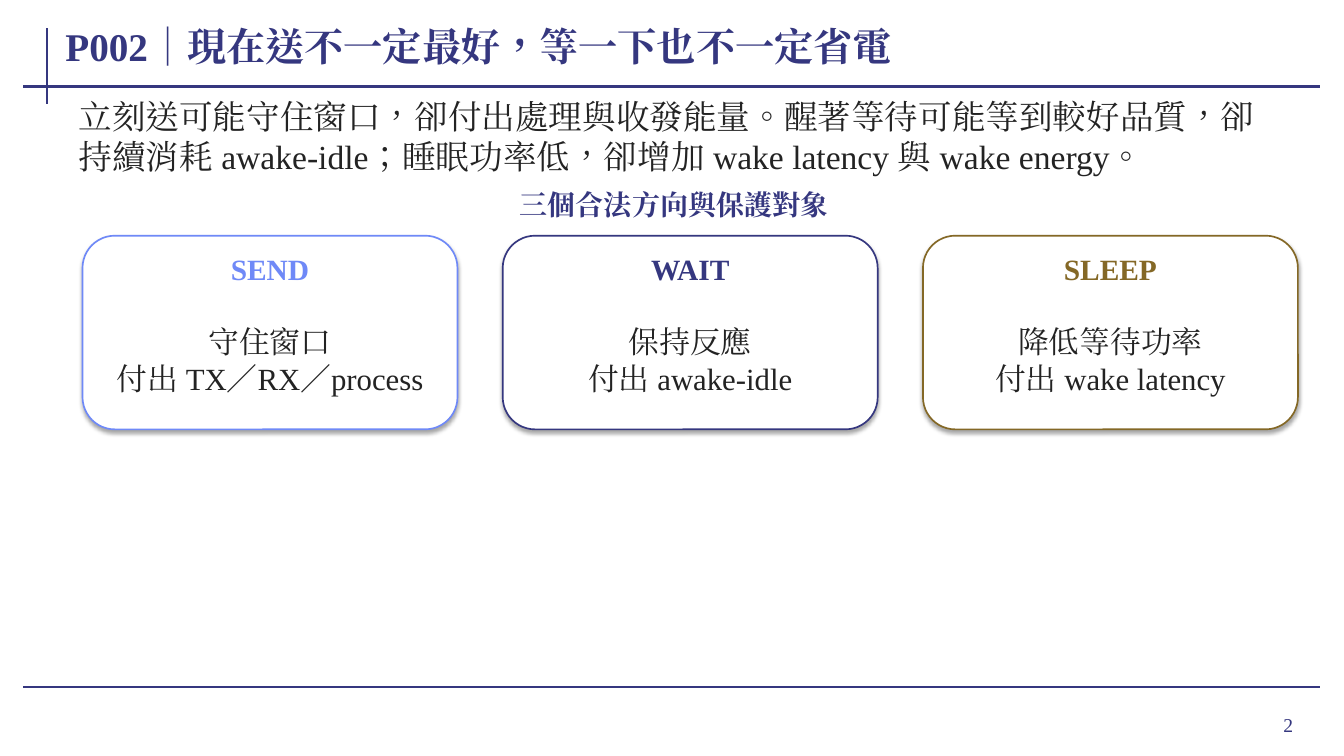
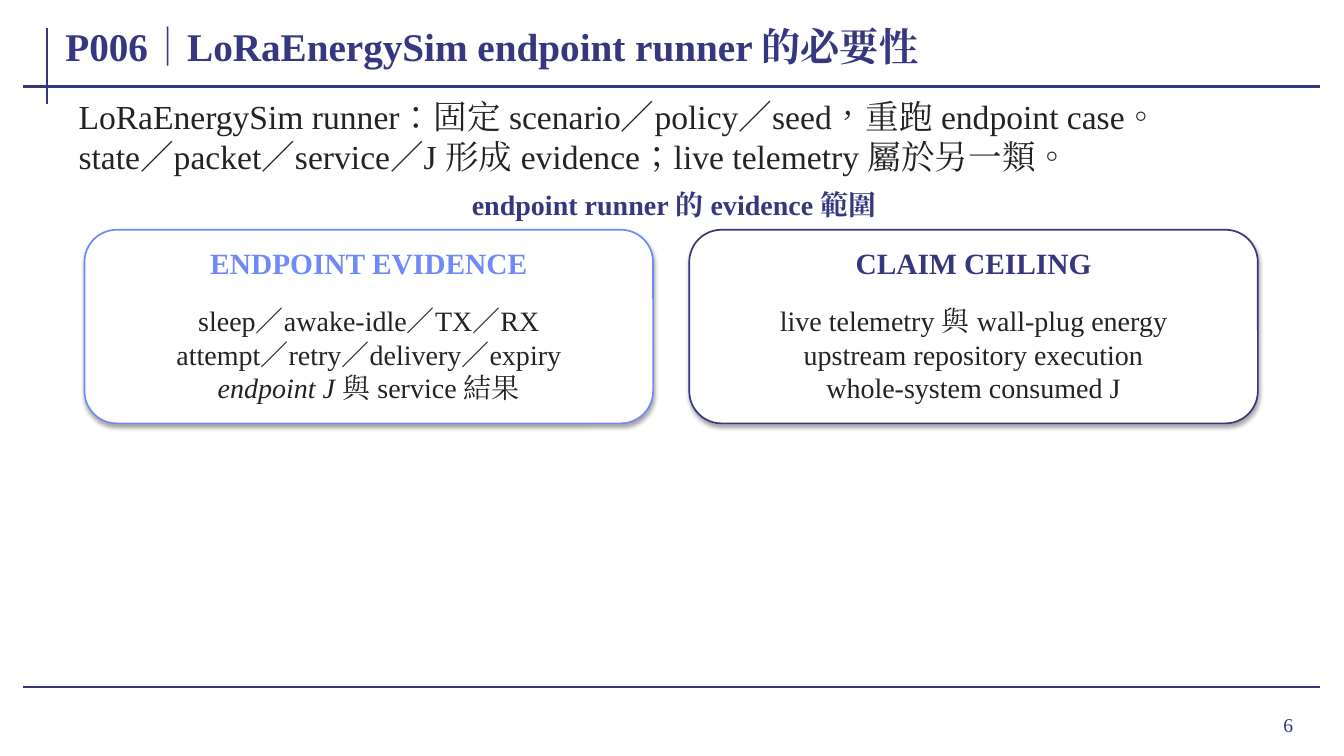
from dataclasses import dataclass

from lxml import etree
from pptx import Presentation
from pptx.dml.color import RGBColor
from pptx.enum import lang, shapes, text
from pptx.oxml import ns
from pptx.util import Cm, Pt


@dataclass(frozen=True)
class Theme:
    font: str = "Times New Roman"
    navy: str = "35377F"
    blue: str = "6F89F7"
    gold: str = "846826"
    ink: str = "232323"
    paper: str = "FFFFFF"
    shade: str = "000000"
    title: int = 28
    intro: int = 24
    caption: int = 20
    heading: int = 21
    number: int = 14
    rule: float = 1.5
    outline: float = 1.2


@dataclass(frozen=True)
class Box:
    left: float
    top: float
    width: float
    height: float

    def lengths(self):
        return [Cm(v) for v in (self.left, self.top, self.width, self.height)]

    def inner(self, dx, dy, height):
        return Box(self.left + dx, self.top + dy, self.width - 2 * dx, height)

    def columns(self, count, gap):
        width = (self.width - gap * (count - 1)) / count
        return [Box(self.left + i * (width + gap), self.top, width, self.height)
                for i in range(count)]


@dataclass(frozen=True)
class Card:
    heading: str
    color: str
    lines: list
    italic: str = ""


THEME = Theme()
LEFT, CENTER, RIGHT = text.PP_ALIGN.LEFT, text.PP_ALIGN.CENTER, text.PP_ALIGN.RIGHT
MIDDLE, TOP = text.MSO_ANCHOR.MIDDLE, text.MSO_ANCHOR.TOP


def sub(parent, tag, **attributes):
    return etree.SubElement(parent, ns.qn(tag), attributes)


def style_run(run, size, color, bold, italic):
    font = run.font
    font.name, font.size, font.bold, font.italic = THEME.font, Pt(size), bold, italic
    font.color.rgb = RGBColor.from_string(color)
    font.language_id = lang.MSO_LANGUAGE_ID.TRADITIONAL_CHINESE
    sub(run._r.get_or_add_rPr(), "a:ea", typeface=THEME.font)


def write(frame, lines, size, color, bold=False, align=LEFT, anchor=MIDDLE,
          inset=(0.08, 0.03), italic=""):
    frame.word_wrap = True
    frame.auto_size = text.MSO_AUTO_SIZE.NONE
    frame.vertical_anchor = anchor
    frame.margin_left = frame.margin_right = Cm(inset[0])
    frame.margin_top = frame.margin_bottom = Cm(inset[1])
    frame.text = "\n".join(lines)
    for paragraph in frame.paragraphs:
        paragraph.alignment = align
        slanted = bool(italic) and paragraph.text.startswith(italic)
        if slanted:
            rest = paragraph.text[len(italic):]
            paragraph.text = italic
            paragraph.add_run().text = rest
        for index, run in enumerate(paragraph.runs):
            style_run(run, size, color, bold, slanted and index == 0)


def add_text(slide, box, lines, size, color, **options):
    write(slide.shapes.add_textbox(*box.lengths()).text_frame, lines, size, color, **options)


def add_rule(slide, x1, y1, x2, y2):
    rule = slide.shapes.add_connector(
        shapes.MSO_CONNECTOR.STRAIGHT, Cm(x1), Cm(y1), Cm(x2), Cm(y2))
    rule.line.color.rgb = RGBColor.from_string(THEME.navy)
    rule.line.width = Pt(THEME.rule)
    sub(rule._element.spPr, "a:effectLst")


def add_frame(slide, number):
    add_rule(slide, 1.19, 0.71, 1.19, 2.62)
    for y in (2.18, 17.32):
        add_rule(slide, 0.58, y, 33.27, y)
    add_text(slide, Box(30.38, 17.6, 2.46, 1.32), [number], THEME.number, THEME.navy,
             align=RIGHT, inset=(0.25, 0.13))


def add_title(slide, box, title):
    holder = slide.shapes.title
    holder.left, holder.top, holder.width, holder.height = box.lengths()
    write(holder.text_frame, [title], THEME.title, THEME.navy, bold=True)


def add_shadow(shape):
    shape.shadow.inherit = False
    effects = shape._element.spPr.find(ns.qn("a:effectLst"))
    shadow = sub(effects, "a:outerShdw", blurRad=str(Pt(3.1)), dist=str(Pt(1.8)),
                 dir="5400000", algn="ctr", rotWithShape="0")
    shade = sub(shadow, "a:srgbClr", val=THEME.shade)
    sub(shade, "a:alpha", val="35000")


def add_card(slide, box, card, size):
    panel = slide.shapes.add_shape(shapes.MSO_SHAPE.ROUNDED_RECTANGLE, *box.lengths())
    panel.fill.solid()
    panel.fill.fore_color.rgb = RGBColor.from_string(THEME.paper)
    panel.line.color.rgb = RGBColor.from_string(card.color)
    panel.line.width = Pt(THEME.outline)
    add_shadow(panel)
    add_text(slide, box.inner(0.36, 0.41, 0.86), [card.heading], THEME.heading, card.color,
             bold=True, align=CENTER, inset=(0.03, 0))
    add_text(slide, box.inner(0.46, 1.68, 2.9), card.lines, size, THEME.ink,
             align=CENTER, italic=card.italic)


def add_card_slide(deck, number, title, intro, caption, cards, area, gap, size):
    slide = deck.slides.add_slide(deck.slide_layouts[5])
    add_frame(slide, number)
    add_title(slide, Box(1.57, 0.38, 31.72, 1.57), title)
    add_text(slide, Box(1.83, 2.36, 30.23, 2.13), intro, THEME.intro, THEME.ink,
             anchor=TOP, inset=(0.15, 0.05))
    add_text(slide, Box(2.13, 4.75, 29.72, 0.81), [caption], THEME.caption, THEME.navy,
             bold=True, align=CENTER, inset=(0.05, 0))
    for box, card in zip(area.columns(len(cards), gap), cards):
        add_card(slide, box, card, size)


def main():
    deck = Presentation()
    deck.slide_width, deck.slide_height = Cm(33.87), Cm(19.05)
    add_card_slide(
        deck, "2", "P002｜現在送不一定最好，等一下也不一定省電",
        ["立刻送可能守住窗口，卻付出處理與收發能量。醒著等待可能等到較好品質，"
         "卻持續消耗 awake-idle；睡眠功率低，卻增加 wake latency 與 wake energy。"],
        "三個合法方向與保護對象",
        [Card("SEND", THEME.blue, ["守住窗口", "付出 TX／RX／process"]),
         Card("WAIT", THEME.navy, ["保持反應", "付出 awake-idle"]),
         Card("SLEEP", THEME.gold, ["降低等待功率", "付出 wake latency"])],
        Box(2.08, 5.94, 30.63, 4.88), gap=1.14, size=22)
    add_card_slide(
        deck, "6", "P006｜LoRaEnergySim endpoint runner 的必要性",
        ["LoRaEnergySim runner：固定 scenario／policy／seed，重跑 endpoint case。",
         "state／packet／service／J 形成 evidence；live telemetry 屬於另一類。"],
        "endpoint runner 的 evidence 範圍",
        [Card("ENDPOINT EVIDENCE", THEME.blue,
              ["sleep／awake-idle／TX／RX", "attempt／retry／delivery／expiry",
               "endpoint J 與 service 結果"], italic="endpoint J"),
         Card("CLAIM CEILING", THEME.navy,
              ["live telemetry 與 wall-plug energy", "upstream repository execution",
               "whole-system consumed J"])],
        Box(2.13, 5.79, 29.57, 4.88), gap=0.91, size=20)
    deck.save("out.pptx")


if __name__ == "__main__":
    main()
